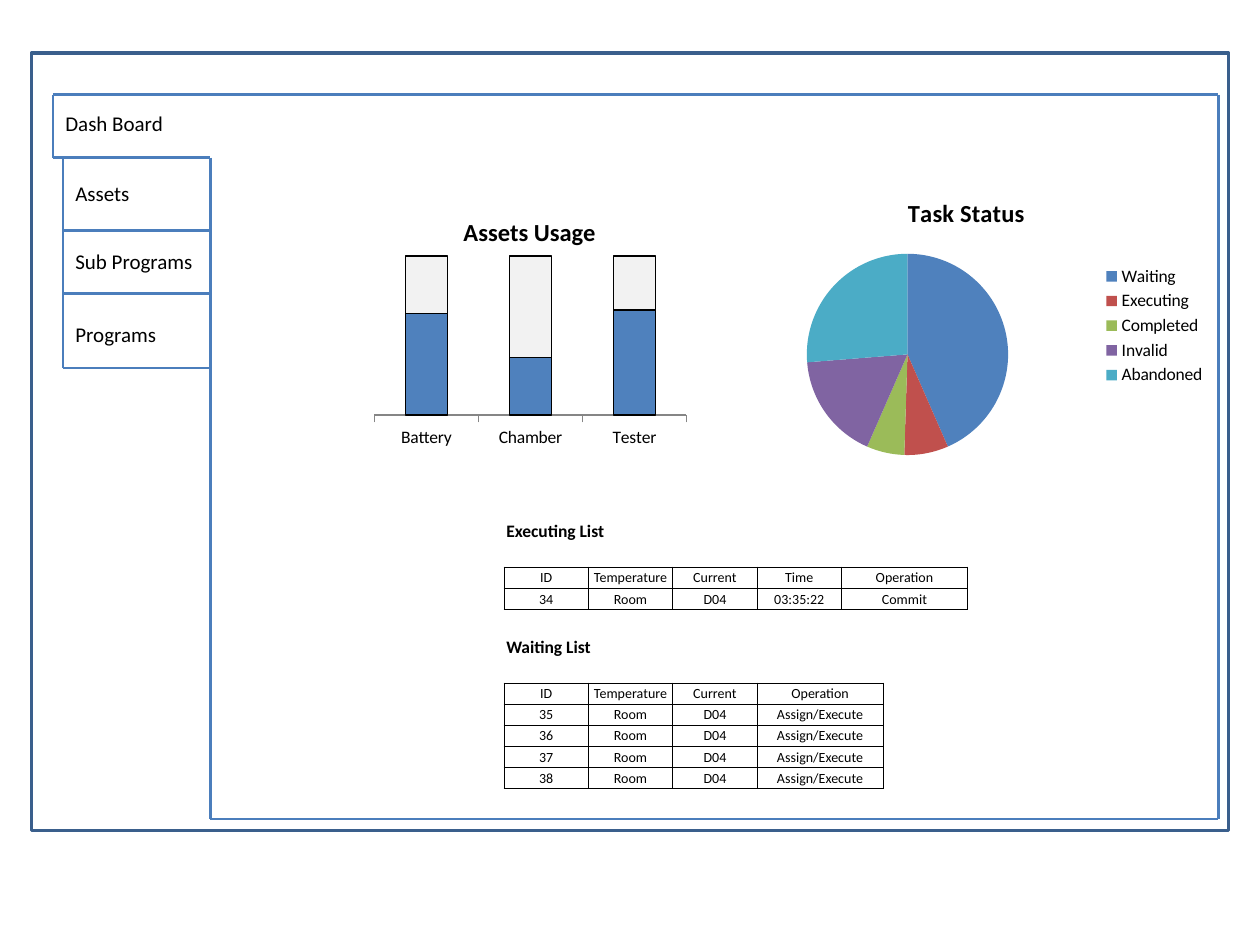
from lxml.etree import SubElement
from pptx import Presentation
from pptx.chart.data import CategoryChartData
from pptx.dml.color import RGBColor
from pptx.enum.chart import (XL_CHART_TYPE as ChartType, XL_LEGEND_POSITION as LegendPos,
                             XL_TICK_LABEL_POSITION as LabelPos, XL_TICK_MARK as Tick)
from pptx.enum.shapes import MSO_CONNECTOR as Connector, MSO_SHAPE as Shape
from pptx.enum.text import MSO_ANCHOR as Anchor, MSO_AUTO_SIZE as AutoSize, PP_ALIGN as Align
from pptx.oxml.ns import qn
from pptx.util import Inches, Pt

FONT = "Calibri"
BLACK, FRAME, LINE = "000000", "3A5F8C", "4B7EBC"
BLUE, PALE = "4F81BD", "F2F2F2"
SLICES = [BLUE, "C0504D", "9BBB59", "8064A2", "4BACC6"]


def color(value):
    return RGBColor.from_string(value)


def box(*lengths):
    return [Inches(length) for length in lengths]


def style_font(font, size, bold=False):
    font.name, font.size, font.bold = FONT, Pt(size), bold
    font.color.rgb = color(BLACK)


def add_rule(slide, x1, y1, x2, y2):
    rule = slide.shapes.add_connector(Connector.STRAIGHT, *box(x1, y1, x2, y2))
    rule.line.color.rgb = color(LINE)
    rule.line.width = Pt(1.5)
    SubElement(rule._element.spPr, qn("a:effectLst"))


def add_label(slide, text, left, top, width, height, size, bold=False):
    frame = slide.shapes.add_textbox(*box(left, top, width, height)).text_frame
    frame.word_wrap = False
    frame.auto_size = AutoSize.SHAPE_TO_FIT_TEXT
    run = frame.paragraphs[0].add_run()
    run.text = text
    style_font(run.font, size, bold)


def add_window(slide, left, top, width, height):
    window = slide.shapes.add_shape(Shape.RECTANGLE, *box(left, top, width, height))
    window.shadow.inherit = False
    window.fill.background()
    window.line.color.rgb = color(FRAME)
    window.line.width = Pt(2)


def add_navigation(slide, left, top, width, height):
    """Open tab joined to the content panel, with the other tabs below it."""
    right, bottom = left + width, top + height
    panel_left, tab_left = left + 1.25, left + 0.08
    tab_bottom = top + 0.5

    # Panel outline and open tab
    add_rule(slide, left, top, right, top)
    add_rule(slide, right, top, right, bottom)
    add_rule(slide, panel_left, bottom, right, bottom)
    add_rule(slide, panel_left, tab_bottom, panel_left, bottom)
    add_rule(slide, left, top, left, tab_bottom)
    add_rule(slide, left, tab_bottom, panel_left, tab_bottom)
    add_label(slide, "Dash Board", left, top + 0.08, 0.98, 0.3, 12)

    # Closed tabs: name, text width, text top, lower edge
    tabs = [("Assets", 0.64, 0.63, 1.08),
            ("Sub Programs", 1.14, 1.17, 1.58),
            ("Programs", 0.85, 1.75, 2.17)]
    for name, text_width, text_top, edge in tabs:
        add_label(slide, name, tab_left, top + text_top, text_width, 0.3, 12)
        add_rule(slide, tab_left, top + edge, panel_left, top + edge)
    add_rule(slide, tab_left, tab_bottom, tab_left, top + tabs[-1][-1])


def add_usage_chart(slide, left, top, width, height):
    add_label(slide, "Assets Usage", left + 0.66, top - 0.33, 1.26, 0.34, 14, True)
    usage = CategoryChartData()
    usage.categories = ["Battery", "Chamber", "Tester"]
    usage.add_series("Series 1", (64, 36, 66))
    usage.add_series("Series 2", (36, 64, 34))
    chart = slide.shapes.add_chart(ChartType.COLUMN_STACKED_100,
                                   *box(left, top, width, height), usage).chart
    style_font(chart.font, 18)
    chart.has_legend = chart.has_title = False

    # Axes
    chart.value_axis.visible = False
    chart.value_axis.has_major_gridlines = False
    chart.value_axis.maximum_scale = 1
    assets = chart.category_axis
    assets.major_tick_mark = Tick.OUTSIDE
    assets.tick_label_position = LabelPos.NEXT_TO_AXIS
    assets.format.line.color.rgb = color("868686")
    style_font(assets.tick_labels.font, 10)

    # Columns
    plot = chart.plots[0]
    plot.gap_width, plot.overlap, plot.vary_by_categories = 150, 100, False
    for series, fill in zip(plot.series, (BLUE, PALE)):
        series.format.fill.solid()
        series.format.fill.fore_color.rgb = color(fill)
        series.format.line.color.rgb = color(BLACK)
        series.format.line.width = Pt(0.75)


def add_status_chart(slide, left, top, width, height):
    status = CategoryChartData()
    status.categories = ["Waiting", "Executing", "Completed", "Invalid", "Abandoned"]
    status.add_series("Task Status", (43, 7, 6, 17, 26))
    chart = slide.shapes.add_chart(ChartType.PIE, *box(left, top, width, height), status).chart
    style_font(chart.font, 18)

    # Title and legend
    chart.has_title = True
    run = chart.chart_title.text_frame.paragraphs[0].add_run()
    run.text = "Task Status"
    style_font(run.font, 14, True)
    chart.chart_title.include_in_layout = False
    chart.has_legend = True
    chart.legend.position = LegendPos.RIGHT
    chart.legend.include_in_layout = False
    style_font(chart.legend.font, 10)

    # Slices
    plot = chart.plots[0]
    plot.vary_by_categories = True
    for index, fill in enumerate(SLICES):
        slice_fill = plot.series[0].points[index].format.fill
        slice_fill.solid()
        slice_fill.fore_color.rgb = color(fill)


def format_cell(cell, text):
    cell.margin_left = cell.margin_right = cell.margin_top = Inches(0.01)
    cell.margin_bottom = 0
    cell.vertical_anchor = Anchor.MIDDLE
    paragraph = cell.text_frame.paragraphs[0]
    paragraph.alignment = Align.CENTER
    run = paragraph.add_run()
    run.text = text
    style_font(run.font, 8)
    properties = cell._tc.get_or_add_tcPr()
    for side in ("a:lnL", "a:lnR", "a:lnT", "a:lnB"):
        border = SubElement(properties, qn(side), w=str(Pt(0.5)))
        SubElement(SubElement(border, qn("a:solidFill")), qn("a:srgbClr"), val=BLACK)
    cell.fill.background()


def add_task_list(slide, left, top, heading, heading_width, rows):
    """Heading with a grid below it; the last column is the wide one."""
    add_label(slide, heading, left - 0.08, top, heading_width, 0.27, 10, True)
    widths = [0.67] * (len(rows[0]) - 1) + [1]
    row_height = 0.167
    table = slide.shapes.add_table(len(rows), len(widths), *box(
        left, top + 0.42, sum(widths), row_height * len(rows))).table
    table.first_row = table.horz_banding = False
    for column, width in zip(table.columns, widths):
        column.width = Inches(width)
    for row, texts in zip(table.rows, rows):
        row.height = Inches(row_height)
        for cell, text in zip(row.cells, texts):
            format_cell(cell, text)


deck = Presentation()
deck.slide_width, deck.slide_height = box(10, 7.5)
dashboard = deck.slides.add_slide(deck.slide_layouts[6])

add_window(dashboard, 0.25, 0.42, 9.5, 6.17)
add_navigation(dashboard, 0.42, 0.75, 9.25, 5.75)
add_status_chart(dashboard, 5.67, 1.42, 4, 2.33)
add_usage_chart(dashboard, 2.92, 2, 2.58, 1.58)
add_task_list(dashboard, 4, 4.08, "Executing List", 1, [
    ("ID", "Temperature", "Current", "Time", "Operation"),
    ("34", "Room", "D04", "03:35:22", "Commit")])
add_task_list(dashboard, 4, 5, "Waiting List", 0.89, [
    ("ID", "Temperature", "Current", "Operation"),
    *[(str(task), "Room", "D04", "Assign/Execute") for task in range(35, 39)]])

deck.save("out.pptx")
